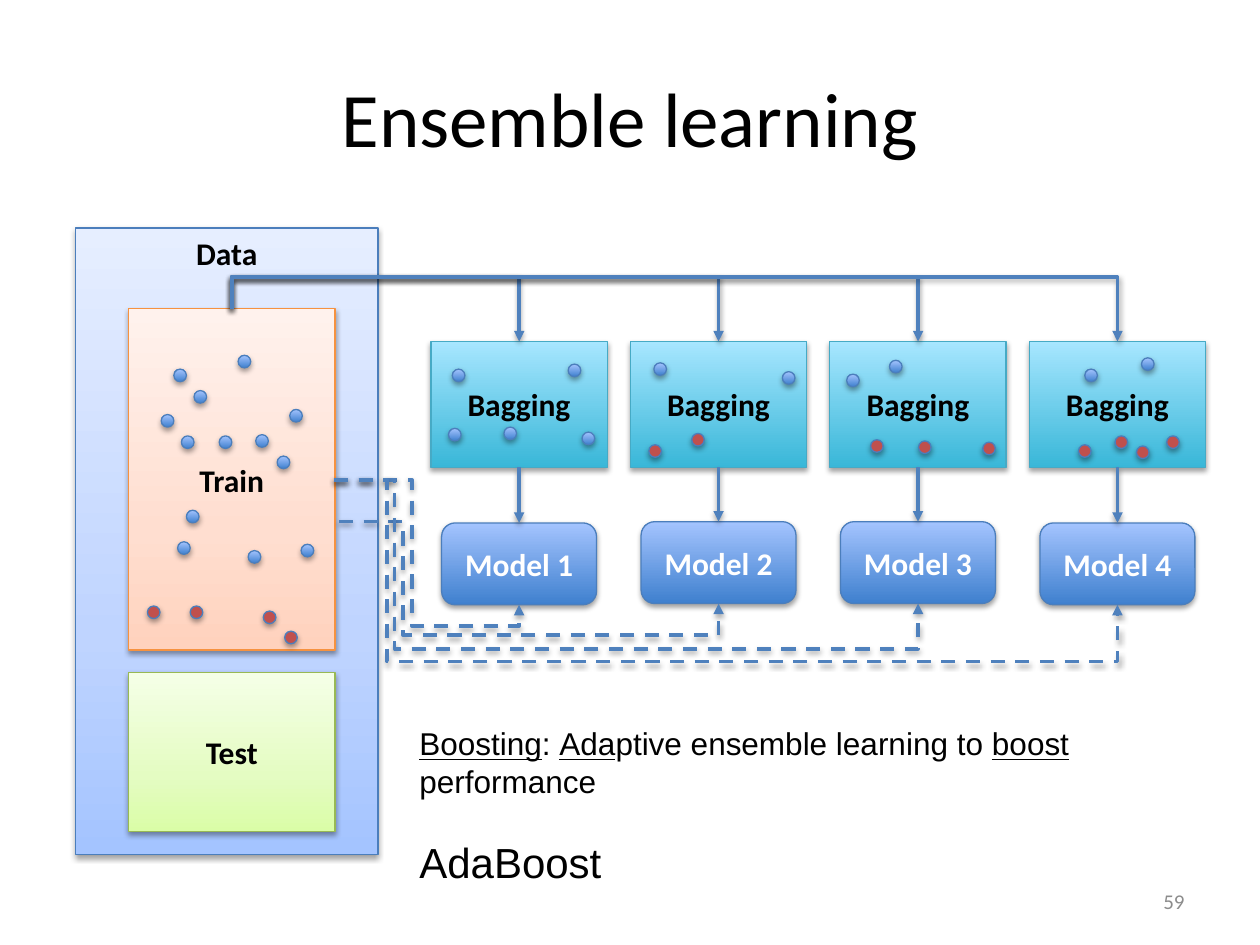
"""Build the ensemble learning slide: data, bagging samples, models and boosting."""
from lxml.etree import SubElement
from pptx import Presentation
from pptx.dml.color import RGBColor
from pptx.enum.dml import MSO_LINE
from pptx.enum.shapes import MSO_CONNECTOR as LINK, MSO_SHAPE as SHAPE
from pptx.enum.text import MSO_ANCHOR as ANCHOR, PP_ALIGN as ALIGN
from pptx.oxml.ns import qn
from pptx.util import Inches, Pt

BLACK = RGBColor(0x00, 0x00, 0x00)
WHITE = RGBColor(0xFF, 0xFF, 0xFF)
GRAY = RGBColor(0x8C, 0x8C, 0x8C)
LINK_BLUE = RGBColor(0x4F, 0x81, 0xBD)
EDGE_BLUE = RGBColor(0x4B, 0x7E, 0xBC)
EDGE_ORANGE = RGBColor(0xF6, 0x92, 0x40)
EDGE_GREEN = RGBColor(0x98, 0xB9, 0x55)
EDGE_TEAL = RGBColor(0x46, 0xAA, 0xC5)
RED = [(0, RGBColor(0xC0, 0x50, 0x4D))]
BLUE = [(0, RGBColor(0x3F, 0x80, 0xCE)), (100, RGBColor(0xA4, 0xC4, 0xFF))]
TEAL = [(0, RGBColor(0x39, 0xB7, 0xD8)), (100, RGBColor(0xA7, 0xE6, 0xFF))]
PALE_BLUE = [(0, RGBColor(0xA4, 0xC4, 0xFF)), (35, RGBColor(0xBF, 0xD4, 0xFF)),
             (100, RGBColor(0xE6, 0xEE, 0xFF))]
PALE_ORANGE = [(0, RGBColor(0xFF, 0xD2, 0xBD)), (35, RGBColor(0xFF, 0xDE, 0xD0)),
               (100, RGBColor(0xFF, 0xF2, 0xED))]
PALE_GREEN = [(0, RGBColor(0xDA, 0xFD, 0xA7)), (35, RGBColor(0xE4, 0xFC, 0xC2)),
              (100, RGBColor(0xF5, 0xFF, 0xE7))]

prs = Presentation()
prs.slide_width, prs.slide_height = Inches(10), Inches(7.5)
COL, ROW = prs.slide_width / 10, prs.slide_height / 7.5
slide = prs.slides.add_slide(prs.slide_layouts[6])
shapes = slide.shapes


def add_block(kind, x, y, w, h, stops, edge, text="", color=BLACK, anchor=ANCHOR.MIDDLE):
    s = shapes.add_shape(kind, int(x * COL), int(y * ROW), int(w * COL), int(h * ROW))
    if len(stops) == 1:
        s.fill.solid()
        s.fill.fore_color.rgb = stops[0][1]
    else:
        s.fill.gradient()
        s.fill.gradient_angle = 90
        gs_list = s._element.spPr.find(".//" + qn("a:gsLst"))
        gs_list.clear()
        for pos, rgb in stops:
            gs = SubElement(gs_list, qn("a:gs"), pos=str(pos * 1000))
            SubElement(gs, qn("a:srgbClr"), val=str(rgb))
    s.line.color.rgb = edge
    s.line.width = Pt(0.75)
    s.shadow.inherit = False
    add_shadow(s._element.spPr.find(qn("a:effectLst")))
    if text:
        tf = s.text_frame
        tf.vertical_anchor = anchor
        p = tf.paragraphs[0]
        p.text, p.alignment = text, ALIGN.CENTER
        p.font.name, p.font.size, p.font.bold = "Calibri", Pt(18), True
        p.font.color.rgb = color
    return s


def add_shadow(effects):
    shadow = SubElement(effects, qn("a:outerShdw"), blurRad=str(Pt(3.1)), dist=str(Pt(1.7)),
                        dir="5400000", rotWithShape="0")
    SubElement(SubElement(shadow, qn("a:srgbClr"), val="000000"), qn("a:alpha"), val="37000")


for text, x, y, w, h, size, color, align in [
    ("Ensemble learning", 0.5, 0.3, 9, 1.25, 44, BLACK, ALIGN.CENTER),
    ("59", 7.17, 6.95, 2.33, 0.4, 12, GRAY, ALIGN.RIGHT),
]:
    tf = shapes.add_textbox(int(x * COL), int(y * ROW), int(w * COL), int(h * ROW)).text_frame
    tf.word_wrap, tf.vertical_anchor = True, ANCHOR.MIDDLE
    p = tf.paragraphs[0]
    p.text, p.alignment = text, align
    p.font.name, p.font.size = "Calibri", Pt(size)
    p.font.color.rgb = color

add_block(SHAPE.RECTANGLE, 0.6, 1.81, 2.4, 4.97, PALE_BLUE, EDGE_BLUE, "Data", anchor=ANCHOR.TOP)
add_block(SHAPE.RECTANGLE, 1.02, 2.45, 1.64, 2.71, PALE_ORANGE, EDGE_ORANGE, "Train")
add_block(SHAPE.RECTANGLE, 1.02, 5.34, 1.64, 1.26, PALE_GREEN, EDGE_GREEN, "Test")

centers = [4.12 + 1.583 * i for i in range(4)]
model_tops = [4.15, 4.14, 4.14, 4.15]
bags = [add_block(SHAPE.RECTANGLE, cx - 0.7, 2.71, 1.4, 1, TEAL, EDGE_TEAL, "Bagging")
        for cx in centers]

links = []
train_x, train_y, bus_y, bag_y = 1.84, 2.45, 2.2, 2.71
rise = bag_y - train_y
for cx in centers:
    run = cx - train_x
    left = (train_x + cx - rise) / 2
    top = (train_y + bag_y - run) / 2
    c = shapes.add_connector(LINK.ELBOW, int(left * COL), int(top * ROW),
                             int((left + rise) * COL), int((top + run) * ROW))
    xfrm = c._element.spPr.find(qn("a:xfrm"))
    xfrm.set("rot", "16200000")
    xfrm.set("flipH", "1")
    links.append((c, "bentConnector3", [(bus_y - train_y) / rise], False))

for i, (cx, top, bag) in enumerate(zip(centers, model_tops, bags), 1):
    model = add_block(SHAPE.ROUNDED_RECTANGLE, cx - 0.615, top, 1.23, 0.65, BLUE, EDGE_BLUE,
                      f"Model {i}", WHITE)
    c = shapes.add_connector(LINK.STRAIGHT, 0, 0, 0, 0)
    c.begin_connect(bag, 2)
    c.end_connect(model, 0)
    links.append((c, "line", [], False))

blue_dots = [
    (1.38, 2.93), (1.28, 3.29), (1.41, 4.3), (1.48, 4.05), (1.74, 3.46), (1.89, 2.82),
    (1.54, 3.1), (1.44, 3.46), (2.03, 3.45), (2.3, 3.25), (2.2, 3.62), (2.39, 4.32),
    (1.97, 4.37), (4.62, 3.43), (4, 3.39), (3.59, 2.93), (3.56, 3.4), (4.51, 2.89),
    (6.21, 2.95), (5.19, 2.88), (6.72, 2.97), (7.06, 2.86), (9.06, 2.84), (8.61, 2.93),
]
red_dots = [
    (2.09, 4.85), (2.26, 5.01), (1.17, 4.81), (1.51, 4.81), (5.49, 3.44), (5.15, 3.53),
    (7.8, 3.51), (6.91, 3.49), (7.29, 3.5), (9.26, 3.46), (8.85, 3.46), (8.56, 3.53),
    (9.02, 3.54),
]
for dots, stops in [(blue_dots, BLUE), (red_dots, RED)]:
    for x, y in dots:
        add_block(SHAPE.OVAL, x, y, 0.1, 0.1, stops, EDGE_BLUE)

starts = [(2.65, 3.81), (2.69, 4.14), (2.65, 3.81), (2.65, 3.81)]
turns = [(3.27, 4.97), (3.2, 5.04), (3.13, 5.15), (3.07, 5.25)]
for cx, top, (x, y), (turn_x, turn_y) in zip(centers, model_tops, starts, turns):
    bottom = top + 0.65
    c = shapes.add_connector(LINK.ELBOW, int(x * COL), int(y * ROW),
                             int(cx * COL), int(bottom * ROW))
    adjusts = [(turn_x - x) / (cx - x), (turn_y - y) / (bottom - y)]
    links.append((c, "bentConnector4", adjusts, True))

for c, preset, adjusts, dashed in links:
    spPr = c._element.spPr
    geom = spPr.find(qn("a:prstGeom"))
    geom.set("prst", preset)
    guides = geom.find(qn("a:avLst"))
    if guides is None:
        guides = SubElement(geom, qn("a:avLst"))
    for n, value in enumerate(adjusts, 1):
        SubElement(guides, qn("a:gd"), name=f"adj{n}", fmla=f"val {round(value * 100000)}")
    c.line.color.rgb = LINK_BLUE
    c.line.width = Pt(2)
    if dashed:
        c.line.dash_style = MSO_LINE.DASH
    SubElement(spPr.find(qn("a:ln")), qn("a:tailEnd"), type="triangle")
    add_shadow(SubElement(spPr, qn("a:effectLst")))

tf = shapes.add_textbox(int(3.23 * COL), int(5.7 * ROW), int(6.38 * COL), int(1.11 * ROW)).text_frame
tf.word_wrap = True
p = tf.paragraphs[0]
for text, underlined in [("Boosting", True), (": ", False), ("Ada", True),
                         ("ptive ensemble learning to ", False), ("boost", True),
                         (" performance", False)]:
    r = p.add_run()
    r.text, r.font.underline = text, underlined
last = tf.add_paragraph()
last.text, last.space_before = "AdaBoost", Pt(21)
for p, size in [(p, 18), (last, 24)]:
    p.font.name, p.font.size = "Arial", Pt(size)
    p.font.color.rgb = BLACK

prs.save("out.pptx")
